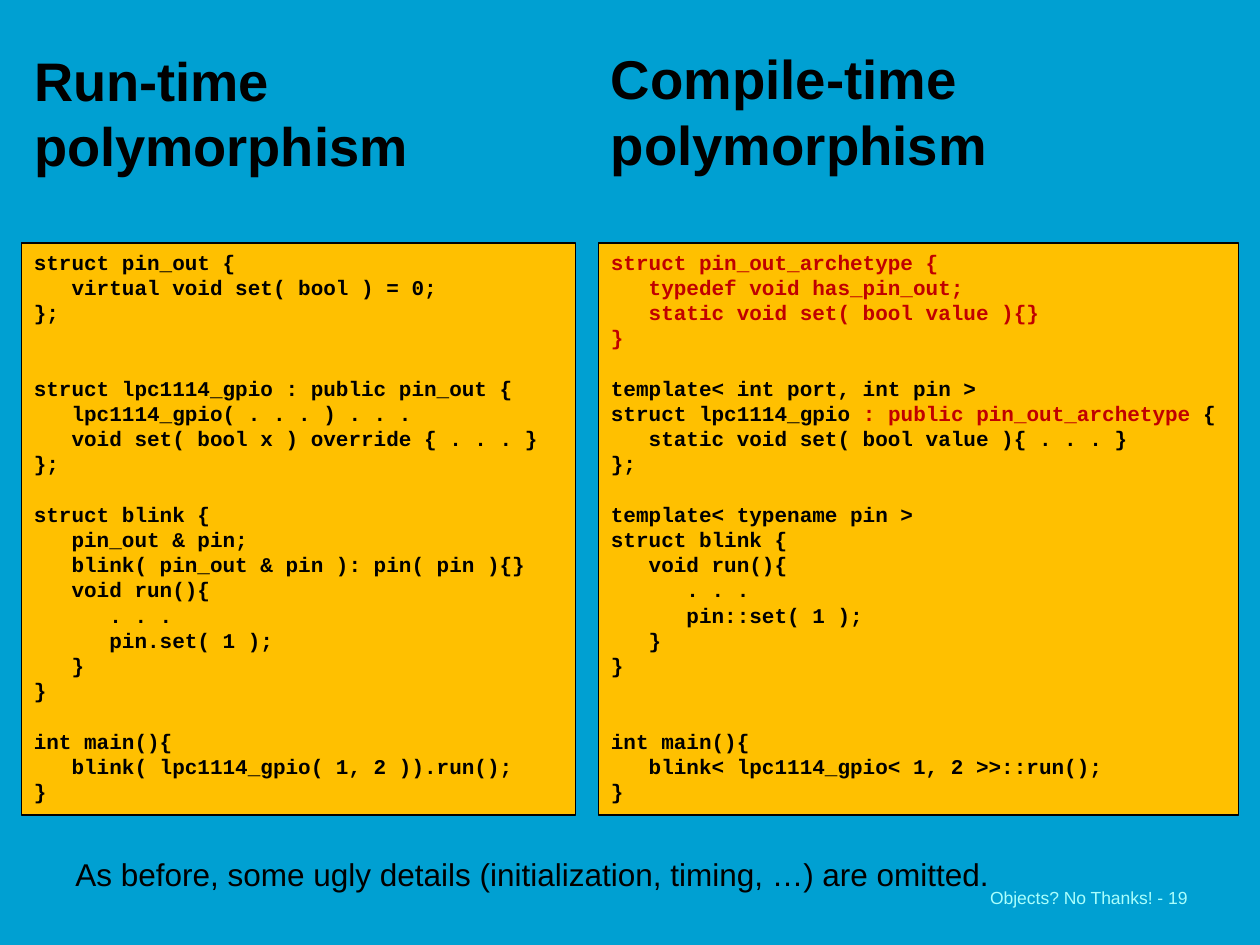
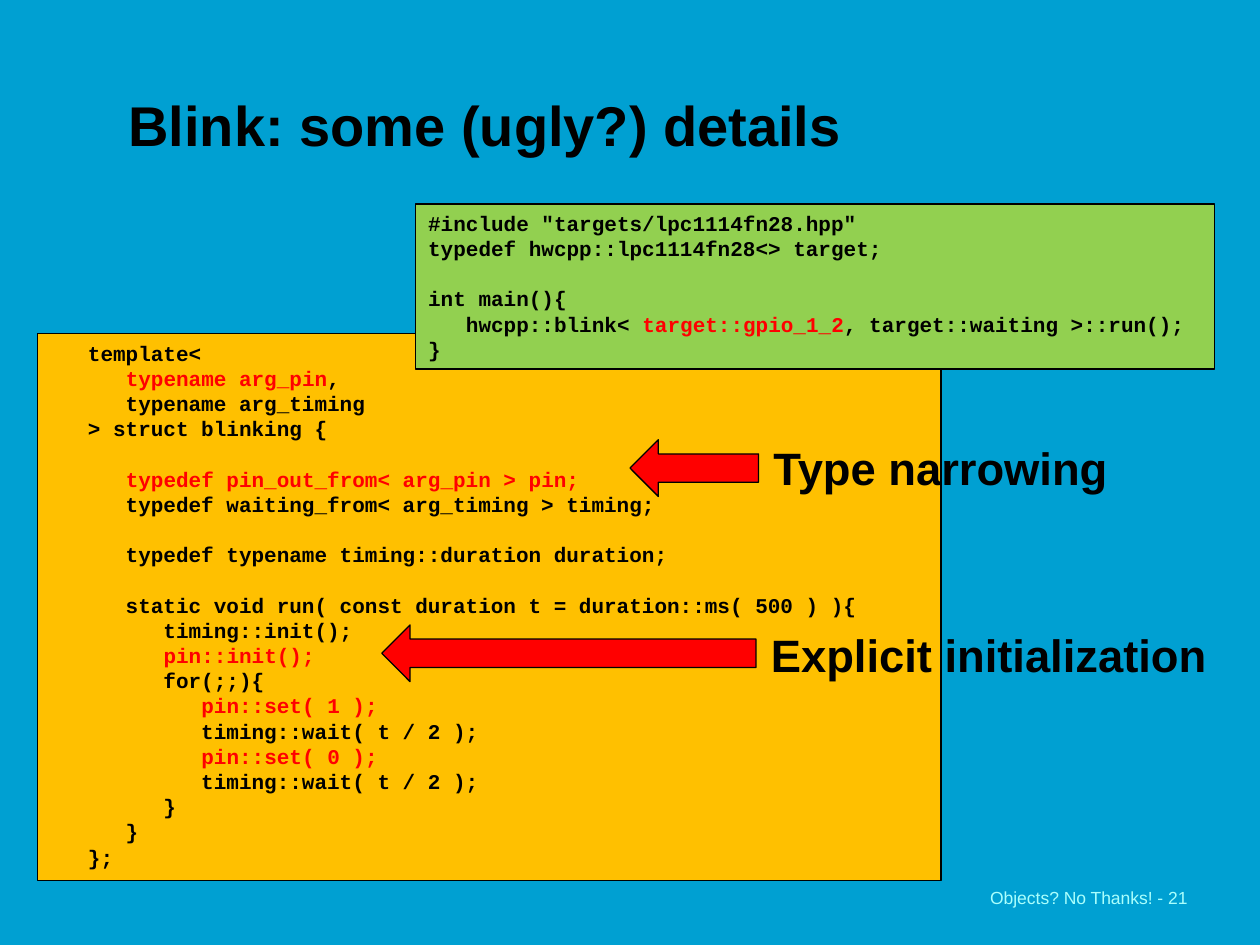
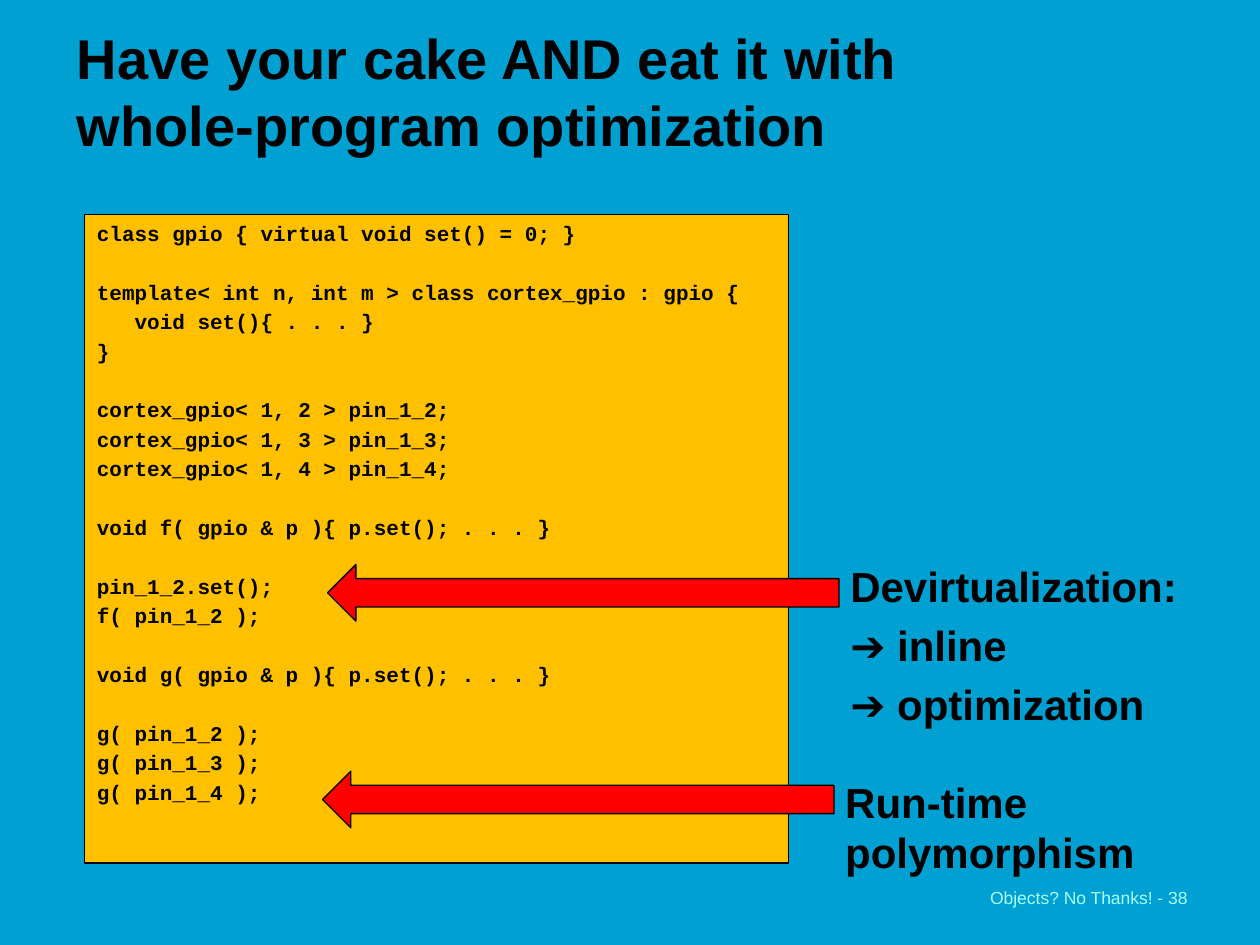
from dataclasses import dataclass

from lxml import etree
from pptx import Presentation
from pptx.dml.color import RGBColor
from pptx.enum import shapes, text
from pptx.oxml.ns import qn
from pptx.util import Inches, Pt

SKY = RGBColor(0x00, 0xA0, 0xD2)
AMBER = RGBColor(0xFF, 0xC0, 0x00)
LIME = RGBColor(0x92, 0xD0, 0x50)
BLACK = RGBColor(0x00, 0x00, 0x00)
RED = RGBColor(0xFF, 0x00, 0x00)
WINE = RGBColor(0xC0, 0x00, 0x00)
PALE = RGBColor(0xAA, 0xFF, 0xFD)
SANS, MONO = "Arial", "Courier New"
CODE_SIZE = 12
FOOTER = "Objects? No Thanks! - "


@dataclass(frozen=True)
class Box:
    left: float
    top: float
    width: float
    height: float

    def place(self) -> tuple:
        return tuple(Inches(n) for n in
                     (self.left, self.top, self.width, self.height))


@dataclass(frozen=True)
class Code:
    """Source text; the parts between bars take the mark colour."""
    box: Box
    source: str
    fill: RGBColor = AMBER
    mark: RGBColor = RED
    gap: float = 0


@dataclass(frozen=True)
class Label:
    box: Box
    words: str
    size: float
    bold: bool = True
    color: RGBColor = BLACK
    anchor: text.MSO_ANCHOR = text.MSO_ANCHOR.TOP


@dataclass(frozen=True)
class Page:
    number: int
    title: Label
    codes: tuple[Code, ...]
    labels: tuple[Label, ...]
    arrows: tuple[Box, ...] = ()


def style(font, name: str, size: float, bold: bool, color: RGBColor) -> None:
    font.name = name
    font.size = Pt(size)
    font.bold = bold
    font.color.rgb = color


def write(frame, label: Label) -> None:
    frame.word_wrap = True
    frame.auto_size = text.MSO_AUTO_SIZE.NONE
    frame.vertical_anchor = label.anchor
    frame.text = label.words
    for i, para in enumerate(frame.paragraphs):
        para.alignment = text.PP_ALIGN.LEFT
        para.space_before = Pt(0.2 * label.size if i else 0)
        for run in para.runs:
            style(run.font, SANS, label.size, label.bold, label.color)


def add_label(slide, label: Label) -> None:
    write(slide.shapes.add_textbox(*label.box.place()).text_frame, label)


def add_block(slide, kind, box: Box, fill: RGBColor):
    block = slide.shapes.add_shape(kind, *box.place())
    block.shadow.inherit = False
    block.fill.solid()
    block.fill.fore_color.rgb = fill
    block.line.color.rgb = BLACK
    block.line.width = Pt(0.75)
    return block


def size_blank(para) -> None:
    """Give an empty code line the height of the others."""
    end = etree.SubElement(para._p, qn("a:endParaRPr"),
                           sz=str(CODE_SIZE * 100), b="1")
    etree.SubElement(end, qn("a:latin"), typeface=MONO)


def add_code(slide, code: Code) -> None:
    block = add_block(slide, shapes.MSO_SHAPE.RECTANGLE, code.box, code.fill)
    frame = block.text_frame
    frame.word_wrap = True
    frame.vertical_anchor = text.MSO_ANCHOR.TOP
    for i, line in enumerate(code.source.strip("\n").split("\n")):
        para = frame.add_paragraph() if i else frame.paragraphs[0]
        para.alignment = text.PP_ALIGN.LEFT
        para.space_before = Pt(code.gap if i else 0)
        for j, part in enumerate(line.split("|")):
            if part:
                run = para.add_run()
                run.text = part
                style(run.font, MONO, CODE_SIZE, True,
                      code.mark if j % 2 else BLACK)
        if not line:
            size_blank(para)


def add_page(deck, page: Page) -> None:
    slide = deck.slides.add_slide(deck.slide_layouts[5])
    title = slide.shapes.title
    title.left, title.top, title.width, title.height = page.title.box.place()
    write(title.text_frame, page.title)
    for code in page.codes:
        add_code(slide, code)
    for box in page.arrows:
        add_block(slide, shapes.MSO_SHAPE.LEFT_ARROW, box, RED)
    for label in page.labels:
        add_label(slide, label)
    add_label(slide, Label(Box(7.76, 6.87, 2.08, 0.5), f"{FOOTER}{page.number}",
                           10, False, PALE, text.MSO_ANCHOR.MIDDLE))


RUN_TIME = """
struct pin_out {
   virtual void set( bool ) = 0;
};


struct lpc1114_gpio : public pin_out {
   lpc1114_gpio( . . . ) . . .
   void set( bool x ) override { . . . }
};

struct blink {
   pin_out & pin;
   blink( pin_out & pin ): pin( pin ){}
   void run(){
      . . .
      pin.set( 1 );
   }
}

int main(){
   blink( lpc1114_gpio( 1, 2 )).run();
}
"""

COMPILE_TIME = """
|struct pin_out_archetype {|
|   typedef void has_pin_out;|
|   static void set( bool value ){}|
|}|

template< int port, int pin >
struct lpc1114_gpio |: public pin_out_archetype |{
   static void set( bool value ){ . . . }
};

template< typename pin >
struct blink {
   void run(){
      . . .
      pin::set( 1 );
   }
}


int main(){
   blink< lpc1114_gpio< 1, 2 >>::run();
}
"""

BLINKING = """
   template<
      |typename arg_pin|,
      typename arg_timing
   > struct blinking {

      |typedef pin_out_from< arg_pin > pin;|
      typedef waiting_from< arg_timing > timing;

      typedef typename timing::duration duration;

      static void run( const duration t = duration::ms( 500 ) ){
         timing::init();
         |pin::init();|
         for(;;){
            |pin::set( 1 );|
            timing::wait( t / 2 );
            |pin::set( 0 );|
            timing::wait( t / 2 );
         }
      }
   };
"""

TARGET = """
#include "targets/lpc1114fn28.hpp"
typedef hwcpp::lpc1114fn28<> target;

int main(){
   hwcpp::blink< |target::gpio_1_2|, target::waiting >::run();
}
"""

CORTEX = """
class gpio { virtual void set() = 0; }

template< int n, int m > class cortex_gpio : gpio {
   void set(){ . . . }
}

cortex_gpio< 1, 2 > pin_1_2;
cortex_gpio< 1, 3 > pin_1_3;
cortex_gpio< 1, 4 > pin_1_4;

void f( gpio & p ){ p.set(); . . . }

pin_1_2.set();
f( pin_1_2 );

void g( gpio & p ){ p.set(); . . . }

g( pin_1_2 );
g( pin_1_3 );
g( pin_1_4 );
"""

LOW = text.MSO_ANCHOR.BOTTOM
PAGES = (
    Page(
        19,
        Label(Box(0.17, 0.21, 4.07, 1.25), "Run-time polymorphism", 31, anchor=LOW),
        (Code(Box(0.17, 1.93, 4.4, 4.54), RUN_TIME),
         Code(Box(4.75, 1.93, 5.08, 4.54), COMPILE_TIME, mark=WINE)),
        (Label(Box(4.75, 0.13, 4.5, 1.5), "Compile-time polymorphism", 31.2,
               anchor=text.MSO_ANCHOR.MIDDLE),
         Label(Box(0.5, 6.74, 8.67, 0.51),
               "As before, some ugly details (initialization, timing, …) are omitted.",
               18, False)),
    ),
    Page(
        21,
        Label(Box(0.92, 0.67, 6.75, 0.63), "Blink: some (ugly?) details", 32, anchor=LOW),
        (Code(Box(0.3, 2.65, 7.17, 4.34), BLINKING),
         Code(Box(3.3, 1.62, 6.34, 1.31), TARGET, LIME)),
        (Label(Box(6.04, 3.44, 4.11, 0.51), "Type narrowing", 25.9),
         Label(Box(6.02, 4.93, 4.11, 0.51), "Explicit initialization", 25.9)),
        (Box(5, 3.49, 1.02, 0.45), Box(3.03, 4.96, 2.97, 0.45)),
    ),
    Page(
        38,
        Label(Box(0.51, 0.12, 7.16, 1.18),
              "Have your cake AND eat it with whole-program optimization", 32, anchor=LOW),
        (Code(Box(0.67, 1.7, 5.59, 5.15), CORTEX, gap=0.2 * CODE_SIZE),),
        (Label(Box(6.65, 4.4, 3.23, 1.47),
               "Devirtualization:\n➔ inline\n➔ optimization", 24),
         Label(Box(6.61, 6.11, 3.23, 0.91), "Run-time polymorphism", 24)),
        (Box(2.6, 4.48, 4.06, 0.45), Box(2.56, 6.12, 4.06, 0.45)),
    ),
)


def main() -> None:
    deck = Presentation()
    deck.slide_width, deck.slide_height = Inches(10), Inches(7.5)
    back = deck.slide_master.background.fill
    back.solid()
    back.fore_color.rgb = SKY
    for page in PAGES:
        add_page(deck, page)
    deck.save("out.pptx")


if __name__ == "__main__":
    main()
